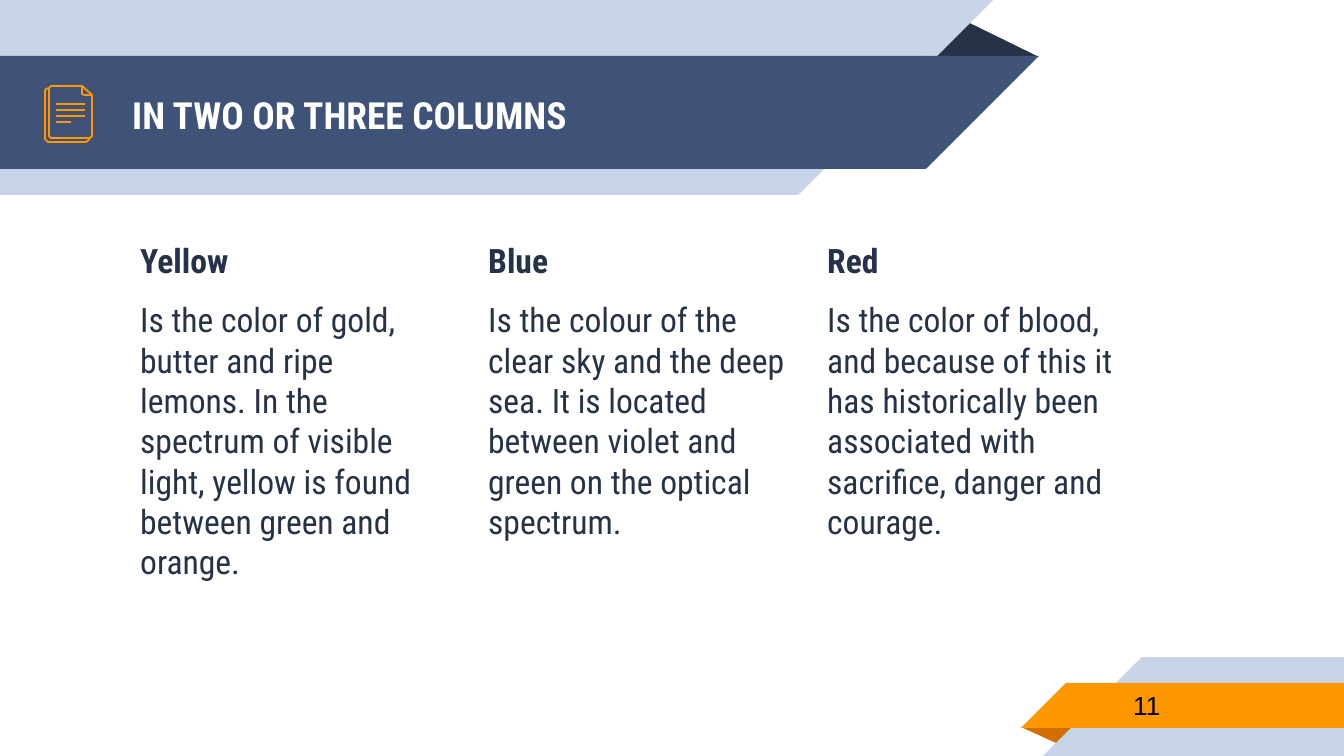
import pptx
import pptx.util
import pptx.dml.color
import pptx.enum.shapes
import pptx.enum.text
import lxml.etree

# Content
TITLE = "IN TWO OR THREE COLUMNS"
NUMBER = "11"
COLUMNS = [
    (127, "Yellow", "Is the color of gold, butter and ripe lemons. In the spectrum of "
                    "visible light, yellow is found between green and orange."),
    (475, "Blue", "Is the colour of the clear sky and the deep sea. It is located "
                  "between violet and green on the optical spectrum."),
    (814, "Red", "Is the color of blood, and because of this it has historically been "
                 "associated with sacrifice, danger and courage."),
]
NAVY, BLUE, PALE = "263248", "3F5378", "C7D3E6"
ORANGE, BROWN, WHITE, BLACK = "FF9800", "D26F00", "FFFFFF", "000000"
HEADING_FONT, NUMBER_FONT = "Roboto Condensed", "Arial"

# Folds: box, rotation, colour
TOP_FOLD = ((925, 19, 114, 38), 0, NAVY)
BOTTOM_FOLD = ((1021, 727, 58, 18), 180, BROWN)
# Bands: left, top, width, height, colour; the slanted end is as wide as it is high
TOP_BANDS = [(0, 0, 798, 195, PALE), (0, 56, 926, 113, BLUE)]
BOTTOM_BANDS = [(1142, 657, 202, 99, PALE), (1066, 683, 278, 45, ORANGE)]

# Document icon: points, closed
ICON_OUTLINES = [
    ([(89, 138), (89, 140), (86, 142), (48, 142), (45, 139), (45, 91), (46, 89), (49, 88)], False),
    ([(92, 95), (92, 136), (90, 138), (51, 138), (49, 136), (49, 88), (51, 86), (82, 86)], False),
    ([(82, 94), (82, 86), (92, 95), (84, 95)], True),
]
ICON_LINE_LEFT, ICON_LINE_TOP, ICON_LINE_GAP = 56, 104, 6
ICON_LINE_WIDTHS = [29, 29, 29, 15]

EMU_PER_PIXEL = 914400 / 134.4


def px(value):
    return pptx.util.Emu(round(value * EMU_PER_PIXEL))


def color(value):
    return pptx.dml.color.RGBColor.from_string(value)


presentation = pptx.Presentation()
presentation.slide_width, presentation.slide_height = px(1344), px(756)
slide = presentation.slides.add_slide(presentation.slide_layouts[6])
SHAPE = pptx.enum.shapes.MSO_SHAPE


def add_filled(kind, box, fill, rotation=0):
    shape = slide.shapes.add_shape(kind, *map(px, box))
    shape.shadow.inherit = False
    shape.fill.solid()
    shape.fill.fore_color.rgb = color(fill)
    shape.line.fill.background()
    shape.rotation = rotation
    return shape


def add_ribbon(fold, bands, slants_right):
    box, rotation, fill = fold
    add_filled(SHAPE.ISOSCELES_TRIANGLE, box, fill, rotation).adjustments[0] = 0.32
    for left, top, width, height, fill in bands:
        add_filled(SHAPE.RECTANGLE, (left, top, width, height), fill)
        end = left + width if slants_right else left - height
        add_filled(SHAPE.RIGHT_TRIANGLE, (end, top, height, height), fill,
                   90 if slants_right else 270)


def add_text(box, paragraphs, size, font, fill, middle=False, space_after=0):
    frame = slide.shapes.add_textbox(*map(px, box)).text_frame
    frame.word_wrap = True
    frame.margin_left = frame.margin_right = pptx.util.Inches(0.1)
    frame.margin_top = frame.margin_bottom = pptx.util.Inches(0.1)
    anchor = pptx.enum.text.MSO_ANCHOR
    frame.vertical_anchor = anchor.MIDDLE if middle else anchor.TOP
    for index, (text, bold) in enumerate(paragraphs):
        paragraph = frame.add_paragraph() if index else frame.paragraphs[0]
        paragraph.space_after = pptx.util.Pt(space_after)
        run = paragraph.add_run()
        run.text = text
        run.font.size = pptx.util.Pt(size)
        run.font.name = font
        run.font.bold = bold
        run.font.color.rgb = color(fill)


def style_icon_line(line):
    line.color.rgb = color(ORANGE)
    line.width = pptx.util.Pt(0.96)


# Ribbons
add_ribbon(TOP_FOLD, TOP_BANDS, True)
add_ribbon(BOTTOM_FOLD, BOTTOM_BANDS, False)

# Title, columns and slide number
add_text((119, 58, 773, 113), [(TITLE, True)], 20, HEADING_FONT, WHITE, middle=True)
for left, heading, body in COLUMNS:
    add_text((left, 227, 331, 398), [(heading, True), (body, False)], 18,
             HEADING_FONT, NAVY, space_after=10)
add_text((1120, 682, 219, 47), [(NUMBER, False)], 14, NUMBER_FONT, BLACK, middle=True)

# Icon
for points, closed in ICON_OUTLINES:
    builder = slide.shapes.build_freeform(*points[0], scale=EMU_PER_PIXEL)
    builder.add_line_segments(points[1:], close=closed)
    outline = builder.convert_to_shape()
    outline.shadow.inherit = False
    outline.fill.background()
    style_icon_line(outline.line)
for index, width in enumerate(ICON_LINE_WIDTHS):
    y = px(ICON_LINE_TOP + index * ICON_LINE_GAP)
    connector = slide.shapes.add_connector(
        pptx.enum.shapes.MSO_CONNECTOR.STRAIGHT,
        px(ICON_LINE_LEFT), y, px(ICON_LINE_LEFT + width), y)
    style_icon_line(connector.line)
    lxml.etree.SubElement(
        connector._element.spPr,
        "{http://schemas.openxmlformats.org/drawingml/2006/main}effectLst")

presentation.save("out.pptx")
